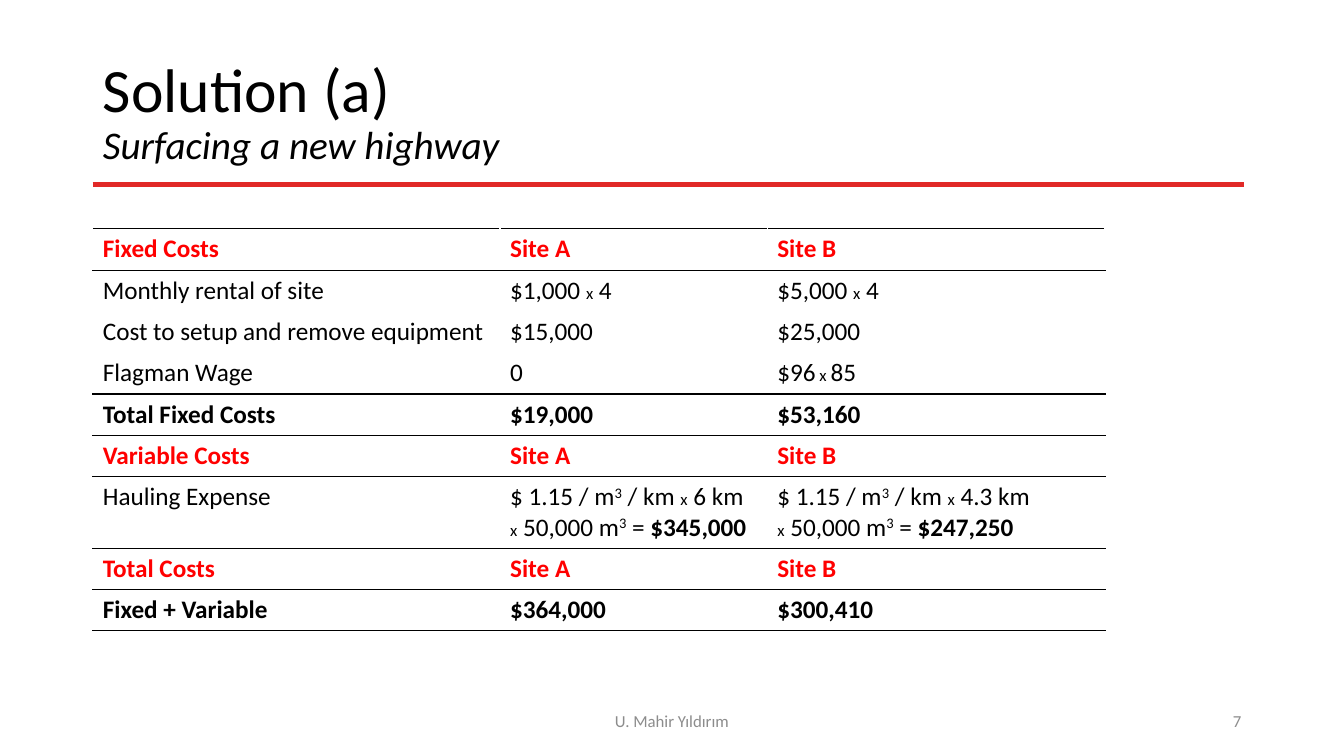
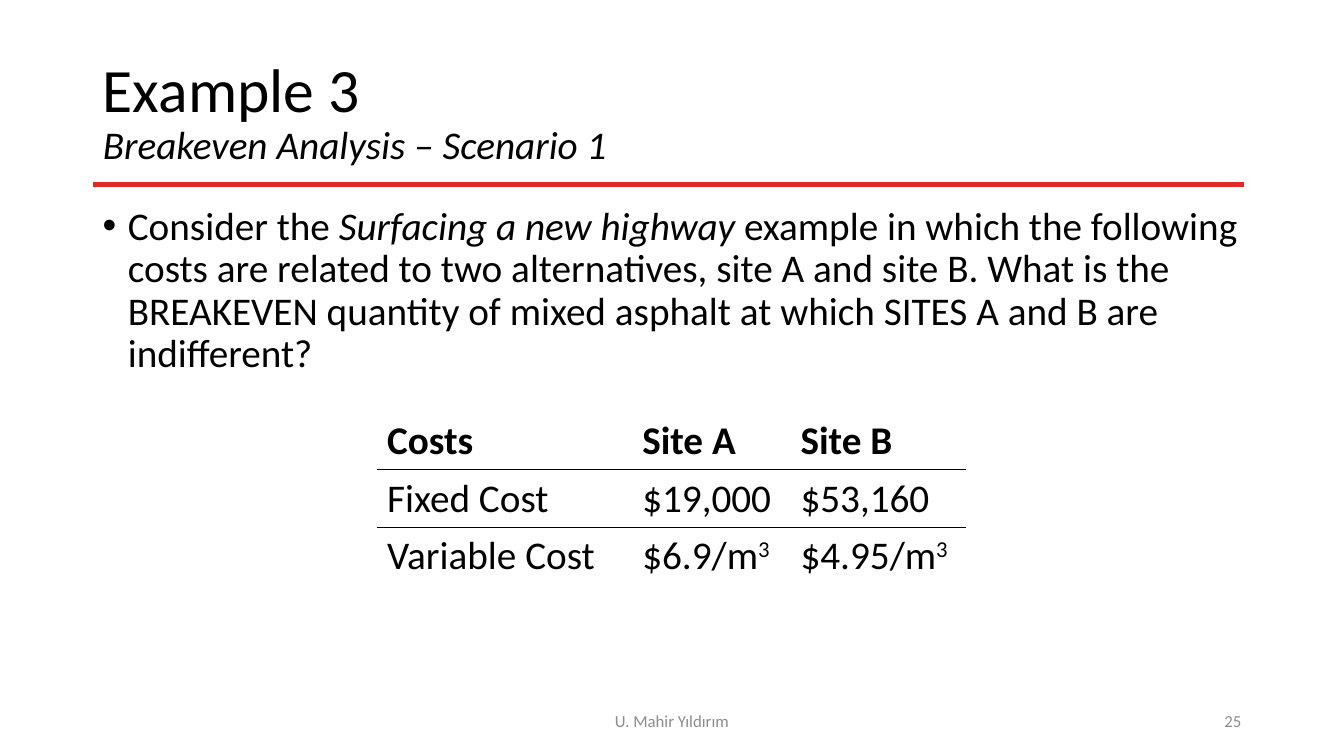
from collections import namedtuple

from pptx import Presentation
from pptx.dml.color import RGBColor
from pptx.enum.shapes import MSO_CONNECTOR as Connector
from pptx.enum.text import MSO_ANCHOR as Anchor, MSO_AUTO_SIZE as AutoSize, PP_ALIGN as Align
from pptx.oxml.ns import qn
from pptx.util import Inches, Pt
from lxml.etree import SubElement

# Shared look
FONT = "Calibri"
BLACK = RGBColor(0x00, 0x00, 0x00)
WHITE = RGBColor(0xFF, 0xFF, 0xFF)
RED = RGBColor(0xFF, 0x00, 0x00)
RULE_RED = RGBColor(0xE1, 0x29, 0x27)
GREY = RGBColor(0x8C, 0x8C, 0x8C)
AUTHOR = "U. Mahir Yıldırım"

# Page grid, in inches
Box = namedtuple("Box", "left top width height")
PAGE_WIDTH, PAGE_HEIGHT = 13.33, 7.5
MARGIN = 0.92
CONTENT_WIDTH = PAGE_WIDTH - 2 * MARGIN
FOOTER_TOP, FOOTER_HEIGHT = 6.95, 0.4
TITLE_BOX = Box(MARGIN, 0.4, CONTENT_WIDTH, 1.45)
RULE_BOX = Box(MARGIN, 1.83, 11.42, 0)
BODY_BOX = Box(MARGIN, 2, CONTENT_WIDTH, 2)
AUTHOR_BOX = Box((PAGE_WIDTH - 4.5) / 2, FOOTER_TOP, 4.5, FOOTER_HEIGHT)
NUMBER_BOX = Box(PAGE_WIDTH - MARGIN - 3, FOOTER_TOP, 3, FOOTER_HEIGHT)

# Spans used inside formulas: text with its own style
TIMES = ("x", {"size": 12})
CUBED = ("3", {"raised": True})


def inches(box):
    return [Inches(length) for length in box]


def add_span(para, text, size, color=BLACK, bold=False, italic=False, raised=False):
    span = para.add_run()
    span.text = text
    font = span.font
    font.name, font.size, font.bold, font.italic = FONT, Pt(size), bold, italic
    font.color.rgb = color
    if raised:
        span._r.get_or_add_rPr().set("baseline", "30000")


def add_spans(para, spans, **style):
    """Spans are plain strings or (text, style changes) pairs."""
    for span in spans:
        text, changes = (span, {}) if isinstance(span, str) else span
        add_span(para, text, **{**style, **changes})


def add_text_box(page, box, spans, anchor=Anchor.TOP, align=Align.LEFT, **style):
    frame = page.shapes.add_textbox(*inches(box)).text_frame
    frame.word_wrap = True
    frame.vertical_anchor = anchor
    para = frame.paragraphs[0]
    para.alignment = align
    add_spans(para, spans, **style)
    return para


def add_bullet(page, box, spans, size):
    para = add_text_box(page, box, spans, size=size)
    props = para._p.get_or_add_pPr()
    props.set("marL", str(Inches(0.25)))
    props.set("indent", str(-Inches(0.25)))
    SubElement(props, qn("a:buFont")).set("typeface", "Arial")
    SubElement(props, qn("a:buChar")).set("char", "•")
    para.line_spacing = 0.9


def add_rule(page, box):
    left, top, width, height = inches(box)
    rule = page.shapes.add_connector(Connector.STRAIGHT, left, top, left + width, top + height)
    rule.line.color.rgb = RULE_RED
    rule.line.width = Pt(3)
    SubElement(rule._element.spPr, qn("a:effectLst"))


def add_page(deck, title, subtitle, number):
    """Title-only page with two-line title, red rule and footer."""
    page = deck.slides.add_slide(deck.slide_layouts[5])
    heading = page.shapes.title
    heading.left, heading.top, heading.width, heading.height = inches(TITLE_BOX)
    frame = heading.text_frame
    frame.word_wrap = True
    frame.auto_size = AutoSize.NONE
    frame.vertical_anchor = Anchor.MIDDLE
    para = frame.paragraphs[0]
    para.alignment, para.line_spacing = Align.LEFT, 0.9
    add_span(para, title, 44)
    para.add_line_break()
    add_span(para, subtitle, 28, italic=True)

    add_rule(page, RULE_BOX)
    footer = {"anchor": Anchor.MIDDLE, "size": 12, "color": GREY}
    add_text_box(page, AUTHOR_BOX, [AUTHOR], align=Align.CENTER, **footer)
    add_text_box(page, NUMBER_BOX, [str(number)], align=Align.RIGHT, **footer)
    return page


def set_borders(cell, ruled_above, ruled_below):
    props = cell._tc.get_or_add_tcPr()
    colors = {"L": WHITE, "R": WHITE,
              "T": BLACK if ruled_above else WHITE,
              "B": BLACK if ruled_below else WHITE}
    for side, color in colors.items():
        line = SubElement(props, qn("a:ln" + side), w=str(Pt(1)))
        fill = SubElement(line, qn("a:solidFill"))
        SubElement(fill, qn("a:srgbClr")).set("val", str(color))


def add_cost_table(page, left, top, columns, rows, size, row_height, ruled_edges):
    """Rows are (style, cells); a cell is a list of lines, a line a list of spans.

    Edge 0 is the table's top, edge n the bottom of row n.
    """
    heights = [row_height + (max(map(len, cells)) - 1) * size / 60 for _, cells in rows]
    box = Box(left, top, sum(columns), sum(heights))
    table = page.shapes.add_table(len(rows), len(columns), *inches(box)).table
    table.first_row = table.horz_banding = False
    for column, width in zip(table.columns, columns):
        column.width = Inches(width)
    for index, (style, cells) in enumerate(rows):
        table.rows[index].height = Inches(heights[index])
        for cell, lines in zip(table.rows[index].cells, cells):
            set_borders(cell, index in ruled_edges, index + 1 in ruled_edges)
            cell.fill.background()
            frame = cell.text_frame
            for number, spans in enumerate(lines):
                para = frame.add_paragraph() if number else frame.paragraphs[0]
                add_spans(para, spans, size=size, **style)


def row(*texts, **style):
    """A row whose cells hold one line each, given as a string or a list of spans."""
    return style, [[[text] if isinstance(text, str) else text] for text in texts]


def section(label):
    return row(label, "Site A", "Site B", bold=True, color=RED)


def hauling(distance, cost):
    return [["$ 1.15 / m", CUBED, " / km ", TIMES, f" {distance} km"],
            [TIMES, " 50,000 m", CUBED, " = ", (cost, {"bold": True})]]


def build_solution(deck):
    page = add_page(deck, "Solution (a)", "Surfacing a new highway", 7)
    rows = [
        section("Fixed Costs"),
        row("Monthly rental of site", ["$1,000 ", TIMES, " 4"], ["$5,000 ", TIMES, " 4"]),
        row("Cost to setup and remove equipment", "$15,000", "$25,000"),
        row("Flagman Wage", "0", ["$96", (" x ", {"size": 12}), "85"]),
        row("Total Fixed Costs", "$19,000", "$53,160", bold=True),
        section("Variable Costs"),
        ({}, [[["Hauling Expense"]], hauling("6", "$345,000"), hauling("4.3", "$247,250")]),
        section("Total Costs"),
        row("Fixed + Variable", "$364,000", "$300,410", bold=True),
    ]
    add_cost_table(page, MARGIN, 2.27, [4.04, 2.65, 3.35], rows, size=18,
                   row_height=0.41, ruled_edges={0, 1, 4, 5, 6, 7, 8, 9})


def build_example(deck):
    page = add_page(deck, "Example 3", "Breakeven Analysis – Scenario 1", 25)
    add_bullet(page, BODY_BOX, [
        "Consider the ",
        ("Surfacing a new highway", {"italic": True}),
        " example in which the following costs are related to two alternatives, site A and "
        "site B. What is the BREAKEVEN quantity of mixed asphalt at which SITES A and B are "
        "indifferent?",
    ], size=28)
    rows = [
        row("Costs", "Site A", "Site B", bold=True),
        row("Fixed Cost", "$19,000", "$53,160"),
        row("Variable Cost", ["$6.9/m", CUBED], ["$4.95/m", CUBED]),
    ]
    add_cost_table(page, 3.74, 4.09, [2.53, 1.57, 1.74], rows, size=28,
                   row_height=0.57, ruled_edges={1, 2})


def main():
    deck = Presentation()
    deck.slide_width, deck.slide_height = Inches(PAGE_WIDTH), Inches(PAGE_HEIGHT)
    build_solution(deck)
    build_example(deck)
    deck.save("out.pptx")


if __name__ == "__main__":
    main()
